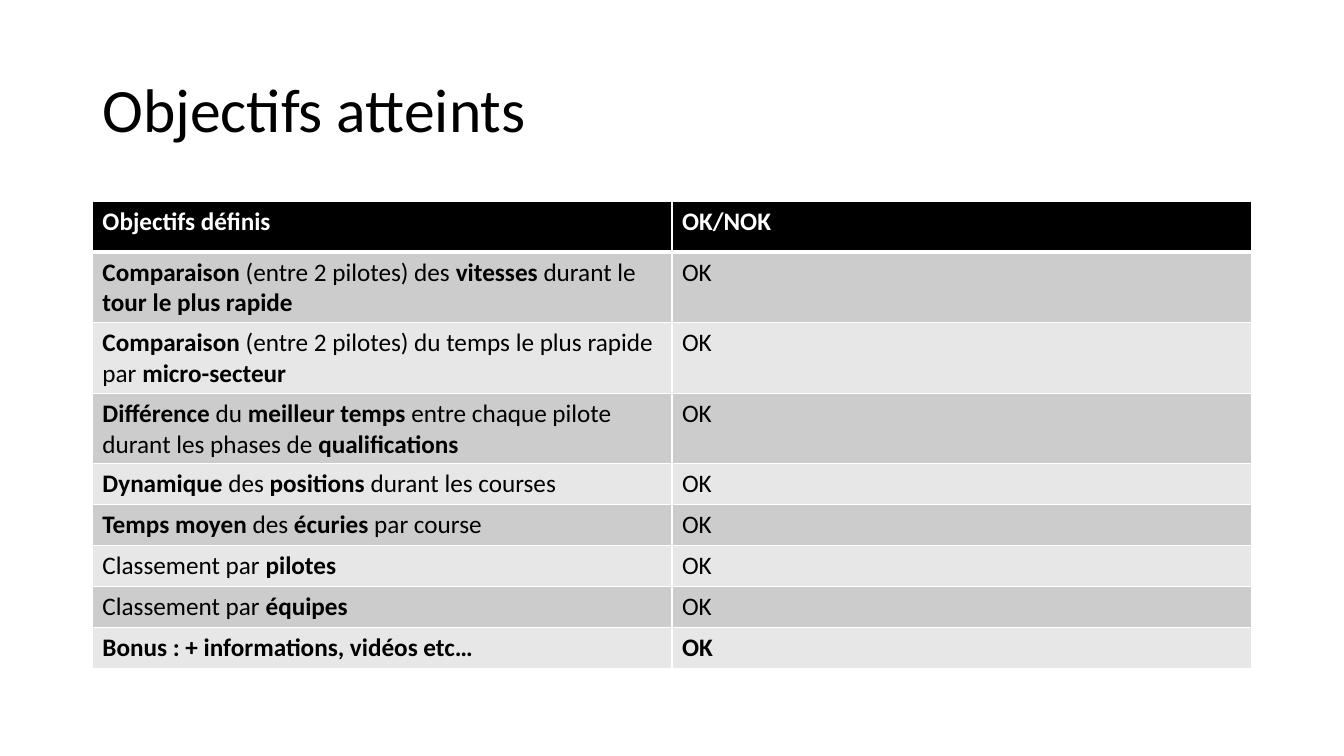
from lxml.etree import SubElement
from pptx import Presentation
from pptx.dml.color import RGBColor
from pptx.enum.text import MSO_ANCHOR
from pptx.oxml.ns import qn
from pptx.util import Pt

PX = 9525
FONT = "Calibri"
BLACK, WHITE = "000000", "FFFFFF"
BANDS = ("CCCCCC", "E7E7E7")
HEADER_HEIGHT, ROW_HEIGHT = 48, 39
OBJECTIVES = [
    ("*Objectifs définis*", "*OK/NOK*"),
    ("*Comparaison *(entre 2 pilotes) des *vitesses* durant le *tour le plus rapide*", "OK"),
    ("*Comparaison *(entre 2 pilotes) du temps le plus rapide par *micro-secteur*", "OK"),
    ("*Différence* du *meilleur temps *entre chaque pilote durant les phases de *qualifications*", "OK"),
    ("*Dynamique* des *positions* durant les courses", "OK"),
    ("*Temps moyen* des *écuries* par course", "OK"),
    ("Classement par *pilotes*", "OK"),
    ("Classement par *équipes*", "OK"),
    ("*Bonus : + informations, vidéos etc…*", "*OK*"),
]


def px(length):
    return length * PX


def color(value):
    return RGBColor.from_string(value)


def add_runs(paragraph, marked, size, ink):
    for index, words in enumerate(marked.split("*")):
        if words:
            run = paragraph.add_run()
            run.text = words
            run.font.name = FONT
            run.font.size = Pt(size)
            run.font.bold = index % 2 == 1
            run.font.color.rgb = color(ink)


def add_border(cell, side, width):
    border = SubElement(cell._tc.get_or_add_tcPr(), qn(f"a:ln{side}"), w=str(Pt(width)))
    fill = SubElement(border, qn("a:solidFill"))
    SubElement(fill, qn("a:srgbClr"), val=WHITE)


def add_title(slide, left, top, width, height):
    title = slide.shapes.add_textbox(px(left), px(top), px(width), px(height)).text_frame
    title.word_wrap = True
    title.vertical_anchor = MSO_ANCHOR.MIDDLE
    title.paragraphs[0].line_spacing = 0.9
    add_runs(title.paragraphs[0], "Objectifs atteints", 44, BLACK)


def add_objectives(slide, left, top, width):
    count = len(OBJECTIVES)
    height = HEADER_HEIGHT + (count - 1) * ROW_HEIGHT
    objectives = slide.shapes.add_table(count, 2, px(left), px(top), px(width), px(height)).table
    objectives.first_row = False
    objectives.horz_banding = False
    for column in objectives.columns:
        column.width = px(width // 2)
    for row, entries in enumerate(OBJECTIVES):
        header = row == 0
        objectives.rows[row].height = px(HEADER_HEIGHT if header else ROW_HEIGHT)
        for column, entry in enumerate(entries):
            cell = objectives.cell(row, column)
            widths = {"L": 1, "R": 1, "T": 3 if row == 1 else 1, "B": 3 if header else 1}
            for side, border_width in widths.items():
                add_border(cell, side, border_width)
            cell.fill.solid()
            cell.fill.fore_color.rgb = color(BLACK if header else BANDS[(row - 1) % 2])
            add_runs(cell.text_frame.paragraphs[0], entry, 18, WHITE if header else BLACK)


def main():
    deck = Presentation()
    deck.slide_width, deck.slide_height = px(1280), px(720)
    slide = deck.slides.add_slide(deck.slide_layouts[6])
    add_title(slide, 88, 38, 1104, 139)
    add_objectives(slide, 88, 192, 1104)
    deck.save("out.pptx")


if __name__ == "__main__":
    main()
